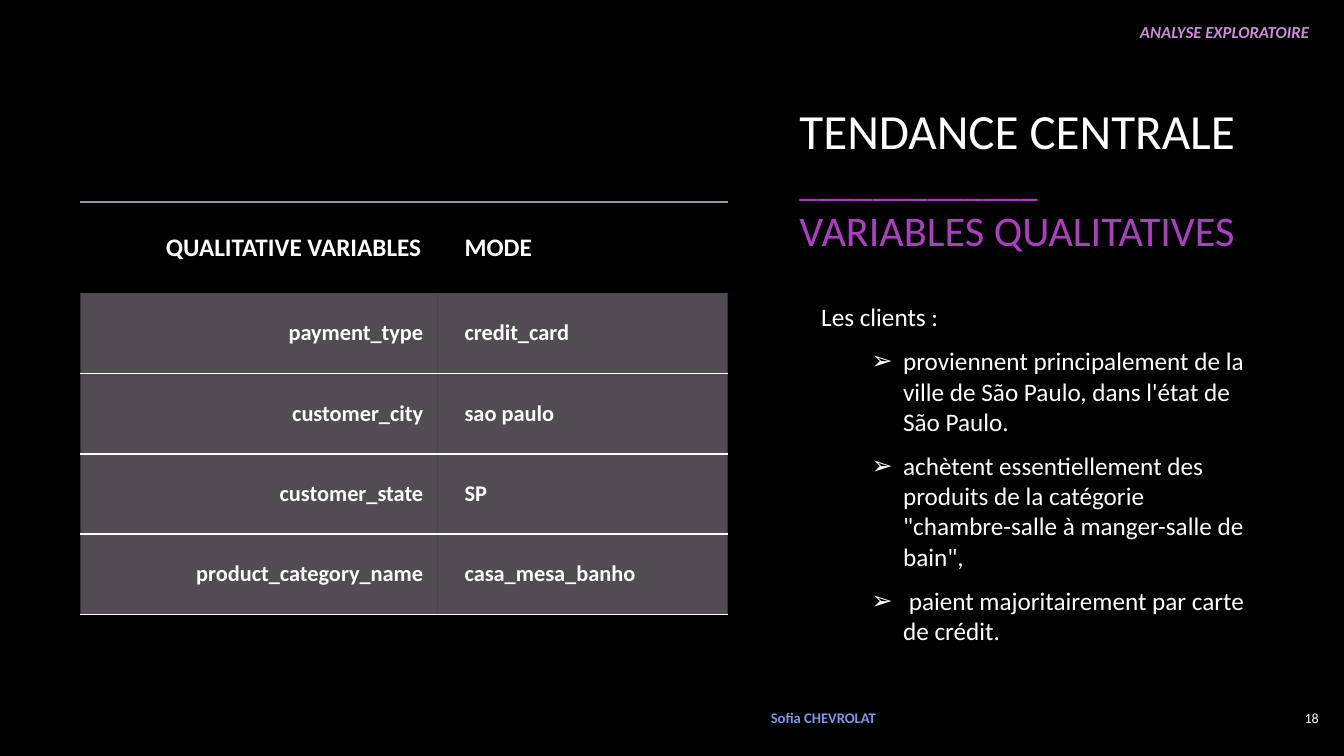
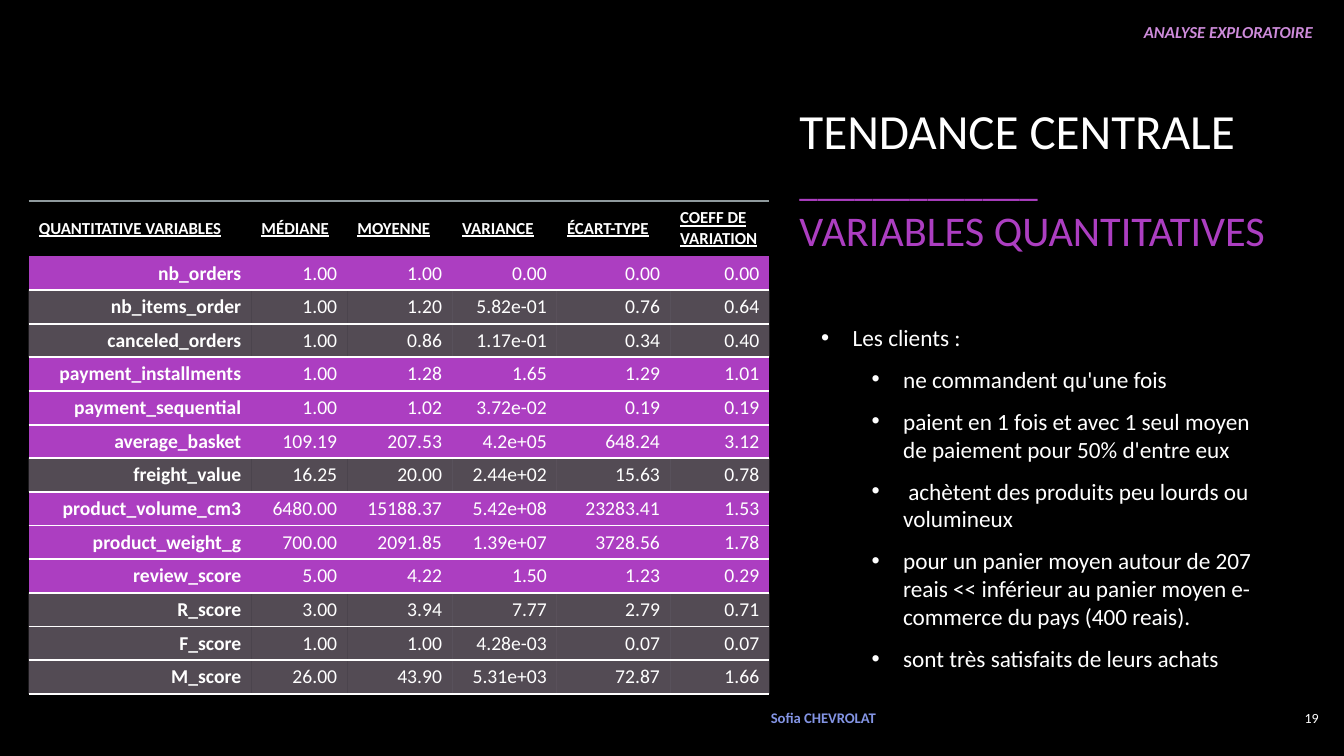
from lxml import etree
from pptx import Presentation
from pptx.dml.color import RGBColor
from pptx.enum.text import MSO_ANCHOR, PP_ALIGN
from pptx.oxml.ns import qn
from pptx.util import Pt

LEFT, RIGHT, JUSTIFY = PP_ALIGN.LEFT, PP_ALIGN.RIGHT, PP_ALIGN.JUSTIFY
TOP, MIDDLE = MSO_ANCHOR.TOP, MSO_ANCHOR.MIDDLE

FONT = "Calibri"
BLACK, WHITE = "000000", "FFFFFF"
PURPLE, LILAC, BLUE = "AC3EC1", "CD8BDA", "8394E4"
PALE, GREY = "EED8F3", "8F9A9D"
PALE_ALPHA, GREY_ALPHA = 35, 60
NO_STYLE = "{2D5ABB26-0587-4C30-8999-92F81FD0307C}"
RULE_WIDTH = 1.5
BULLET_INDENT = 22.5
LEVEL_STEP = 36

SECTION_BOX = (552, 12, 393, 22)
NUMBER_BOX = (906, 498, 43, 29.5)
AUTHOR_BOX = (543.5, 498, 127, 29.5)
TITLE_BOX = (564, 52.5, 382, 149)
AUTHOR = "Sofia CHEVROLAT"
TITLE = "TENDANCE CENTRALE"
TITLE_RULE = "_____________"

SLIDES = [
    {
        "section": "ANALYSE EXPLORATOIRE ",
        "number": "18",
        "subtitle": "VARIABLES QUALITATIVES",
        "body": {
            "box": (579.5, 213, 322.5, 250.5),
            "size": 18,
            "bullets": ("", "➢"),
            "lines": [
                (0, "Les clients :"),
                (1, "proviennent principalement de la ville de São Paulo, dans l'état de São Paulo."),
                (1, "achètent essentiellement des produits de la catégorie "
                    "\"chambre-salle à manger-salle de bain\","),
                (1, " paient majoritairement par carte de crédit."),
            ],
        },
        "table": {
            "origin": (57.5, 144),
            "widths": (254.9, 207.4),
            "heights": (65.4, 57.4),
            "header": ("QUALITATIVE VARIABLES", "MODE"),
            "header_format": {"size": 18, "bold": True},
            "header_aligns": (RIGHT, LEFT),
            "header_margins": (19.5, 11.5, 11.5, 11.5),
            "row_size": 16,
            "row_bolds": (True, True),
            "row_aligns": (RIGHT, LEFT),
            "row_margins": (19.5, 10, 10, 10),
            "highlights": (),
            "rows": [
                ("payment_type", "credit_card"),
                ("customer_city", "sao paulo"),
                ("customer_state", "SP"),
                ("product_category_name", "casa_mesa_banho"),
            ],
        },
    },
    {
        "section": "ANALYSE EXPLORATOIRE",
        "number": "19",
        "subtitle": "VARIABLES QUANTITATIVES",
        "body": {
            "box": (579.5, 213, 322.5, 285),
            "size": 16.6,
            "bullets": ("•", "•"),
            "lines": [
                (0, "Les clients :"),
                (1, "ne commandent qu'une fois"),
                (1, "paient en 1 fois et avec 1 seul moyen de paiement pour 50% d'entre eux"),
                (1, " achètent des produits peu lourds ou volumineux"),
                (1, "pour un panier moyen autour de 207 reais << inférieur au panier "
                    "moyen e-commerce du pays (400 reais)."),
                (1, "sont très satisfaits de leurs achats"),
            ],
        },
        "table": {
            "origin": (20.5, 143.3),
            "widths": (159.1, 68.5, 74.9, 74.9, 80.8, 70.9),
            "heights": (39.8, 24.05),
            "header": ("QUANTITATIVE VARIABLES", "MÉDIANE", "MOYENNE", "VARIANCE",
                       "ÉCART-TYPE", "COEFF DE VARIATION"),
            "header_format": {"size": 12, "bold": True, "underline": True},
            "header_aligns": (JUSTIFY,) + (LEFT,) * 5,
            "header_margins": (7.2, 3.6, 7.2, 3.6),
            "row_size": 14,
            "row_bolds": (True,) + (False,) * 5,
            "row_aligns": (RIGHT,) * 6,
            "row_margins": (7.2, 3.6, 7.2, 3.6),
            "highlights": ("nb_orders", "payment_installments", "payment_sequential",
                           "average_basket", "product_volume_cm3", "product_weight_g",
                           "review_score"),
            "rows": [
                ("nb_orders", "1.00", "1.00", "0.00", "0.00", "0.00"),
                ("nb_items_order", "1.00", "1.20", "5.82e-01", "0.76", "0.64"),
                ("canceled_orders", "1.00", "0.86", "1.17e-01", "0.34", "0.40"),
                ("payment_installments", "1.00", "1.28", "1.65", "1.29", "1.01"),
                ("payment_sequential", "1.00", "1.02", "3.72e-02", "0.19", "0.19"),
                ("average_basket", "109.19", "207.53", "4.2e+05", "648.24", "3.12"),
                ("freight_value", "16.25", "20.00", "2.44e+02", "15.63", "0.78"),
                ("product_volume_cm3", "6480.00", "15188.37", "5.42e+08", "23283.41", "1.53"),
                ("product_weight_g", "700.00", "2091.85", "1.39e+07", "3728.56", "1.78"),
                ("review_score", "5.00", "4.22", "1.50", "1.23", "0.29"),
                ("R_score", "3.00", "3.94", "7.77", "2.79", "0.71"),
                ("F_score", "1.00", "1.00", "4.28e-03", "0.07", "0.07"),
                ("M_score", "26.00", "43.90", "5.31e+03", "72.87", "1.66"),
            ],
        },
    },
]


def rgb(color):
    return RGBColor.from_string(color)


def add_span(para, text, size, color=WHITE, bold=False, italic=False, underline=False):
    span = para.add_run()
    span.text = text
    font = span.font
    font.name, font.size = FONT, Pt(size)
    font.bold, font.italic, font.underline = bold, italic, underline
    font.color.rgb = rgb(color)


def add_frame(page, box, anchor=MIDDLE):
    frame = page.shapes.add_textbox(*map(Pt, box)).text_frame
    frame.word_wrap = True
    frame.vertical_anchor = anchor
    return frame


def add_label(page, box, text, anchor=MIDDLE, align=LEFT, **style):
    para = add_frame(page, box, anchor).paragraphs[0]
    para.alignment = align
    add_span(para, text, **style)


def add_title(page, subtitle):
    frame = add_frame(page, TITLE_BOX)
    para = frame.paragraphs[0]
    add_span(para, TITLE, size=35.1)
    para.add_line_break()
    add_span(para, TITLE_RULE, size=26.3, color=PURPLE)
    add_span(frame.add_paragraph(), subtitle, size=30.2, color=PURPLE)


def set_bullet(para, level, symbol):
    properties = para._p.get_or_add_pPr()
    properties.set("marL", str(Pt(level * LEVEL_STEP + BULLET_INDENT)))
    properties.set("indent", str(Pt(-BULLET_INDENT)))
    bullet_color = etree.SubElement(properties, qn("a:buClr"))
    etree.SubElement(bullet_color, qn("a:srgbClr"), val=WHITE)
    etree.SubElement(properties, qn("a:buFont"), typeface="Arial")
    etree.SubElement(properties, qn("a:buChar"), char=symbol)


def add_body(page, body):
    frame = add_frame(page, body["box"])
    for index, (level, text) in enumerate(body["lines"]):
        para = frame.add_paragraph() if index else frame.paragraphs[0]
        para.level = level
        symbol = body["bullets"][level]
        if symbol:
            set_bullet(para, level, symbol)
        para.space_after = Pt(10)
        add_span(para, text, size=body["size"])


def set_alpha(color_element, percent):
    etree.SubElement(color_element, qn("a:alpha"), val=str(percent * 1000))


def set_rule(cell, side, color, alpha=100):
    line = etree.Element(qn(side), w=str(Pt(RULE_WIDTH)))
    solid = etree.SubElement(line, qn("a:solidFill"))
    color_element = etree.SubElement(solid, qn("a:srgbClr"), val=color)
    if alpha < 100:
        set_alpha(color_element, alpha)
    cell._tc.get_or_add_tcPr().insert(0, line)


def fill_cell(cell, text, align, margins, **style):
    cell.margin_left, cell.margin_top, cell.margin_right, cell.margin_bottom = map(Pt, margins)
    cell.vertical_anchor = MIDDLE
    para = cell.text_frame.paragraphs[0]
    para.alignment = align
    add_span(para, text, **style)


def paint_row_cell(cell, highlighted):
    cell.fill.solid()
    cell.fill.fore_color.rgb = rgb(PURPLE if highlighted else PALE)
    if not highlighted:
        set_alpha(cell._tc.tcPr.find(".//" + qn("a:srgbClr")), PALE_ALPHA)
    set_rule(cell, "a:lnB", WHITE)


def add_data_table(page, data):
    widths, rows = data["widths"], data["rows"]
    header_height, row_height = data["heights"]
    heights = [header_height] + [row_height] * len(rows)
    size = (sum(widths), sum(heights))
    frame = page.shapes.add_table(len(heights), len(widths), *map(Pt, data["origin"] + size))
    table = frame.table
    table.first_row = table.horz_banding = False
    table._tbl.tblPr.find(qn("a:tableStyleId")).text = NO_STYLE
    for column, width in zip(table.columns, widths):
        column.width = Pt(width)
    for row, height in zip(table.rows, heights):
        row.height = Pt(height)
    for column, text in enumerate(data["header"]):
        cell = table.cell(0, column)
        fill_cell(cell, text, data["header_aligns"][column], data["header_margins"],
                  **data["header_format"])
        cell.fill.background()
        set_rule(cell, "a:lnT", GREY, GREY_ALPHA)
    for index, values in enumerate(rows, 1):
        for column, text in enumerate(values):
            cell = table.cell(index, column)
            fill_cell(cell, text, data["row_aligns"][column], data["row_margins"],
                      size=data["row_size"], bold=data["row_bolds"][column])
            paint_row_cell(cell, values[0] in data["highlights"])


def add_page(deck, content):
    page = deck.slides.add_slide(deck.slide_layouts[6])
    page.background.fill.solid()
    page.background.fill.fore_color.rgb = rgb(BLACK)
    add_label(page, SECTION_BOX, content["section"], anchor=TOP, align=RIGHT,
              size=12, color=LILAC, bold=True, italic=True)
    add_label(page, NUMBER_BOX, content["number"], align=RIGHT, size=10)
    add_label(page, AUTHOR_BOX, AUTHOR, size=10.5, color=BLUE, bold=True)
    add_data_table(page, content["table"])
    add_title(page, content["subtitle"])
    add_body(page, content["body"])


def main():
    deck = Presentation()
    deck.slide_width, deck.slide_height = Pt(960), Pt(540)
    for content in SLIDES:
        add_page(deck, content)
    deck.save("out.pptx")


if __name__ == "__main__":
    main()
